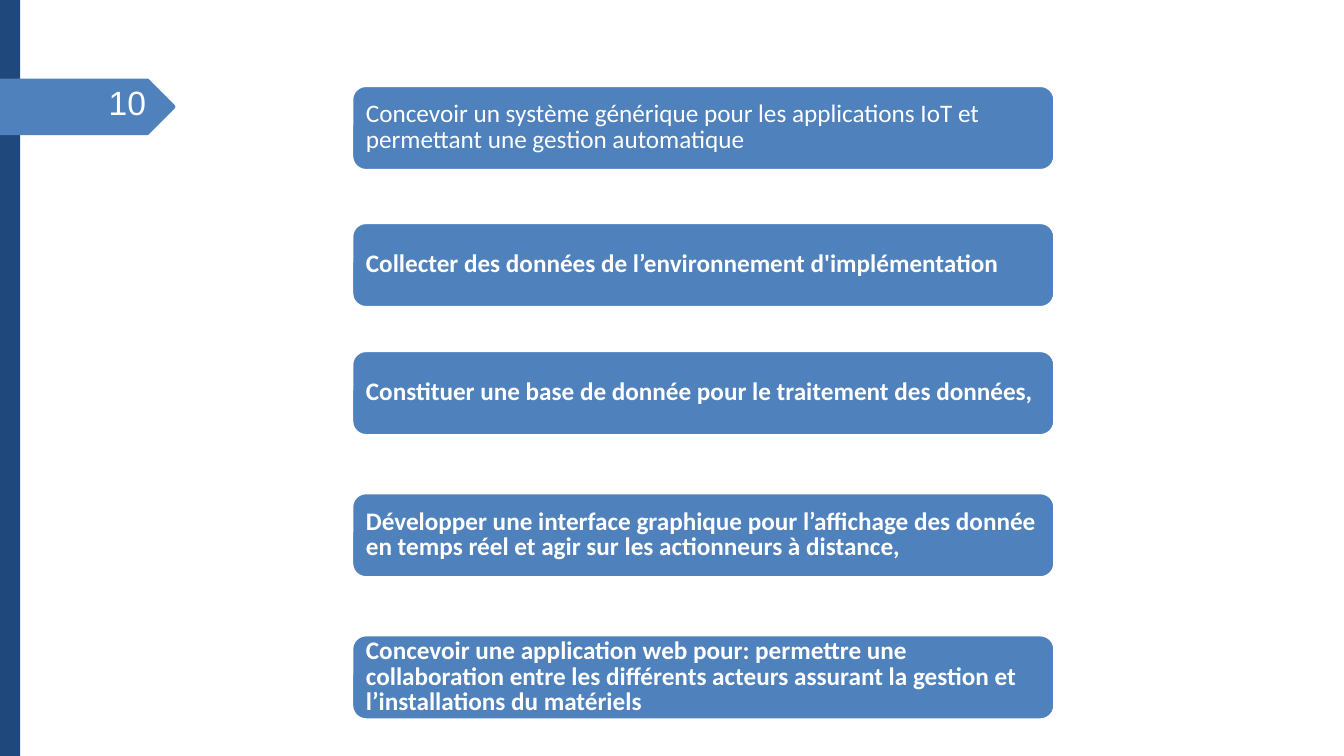
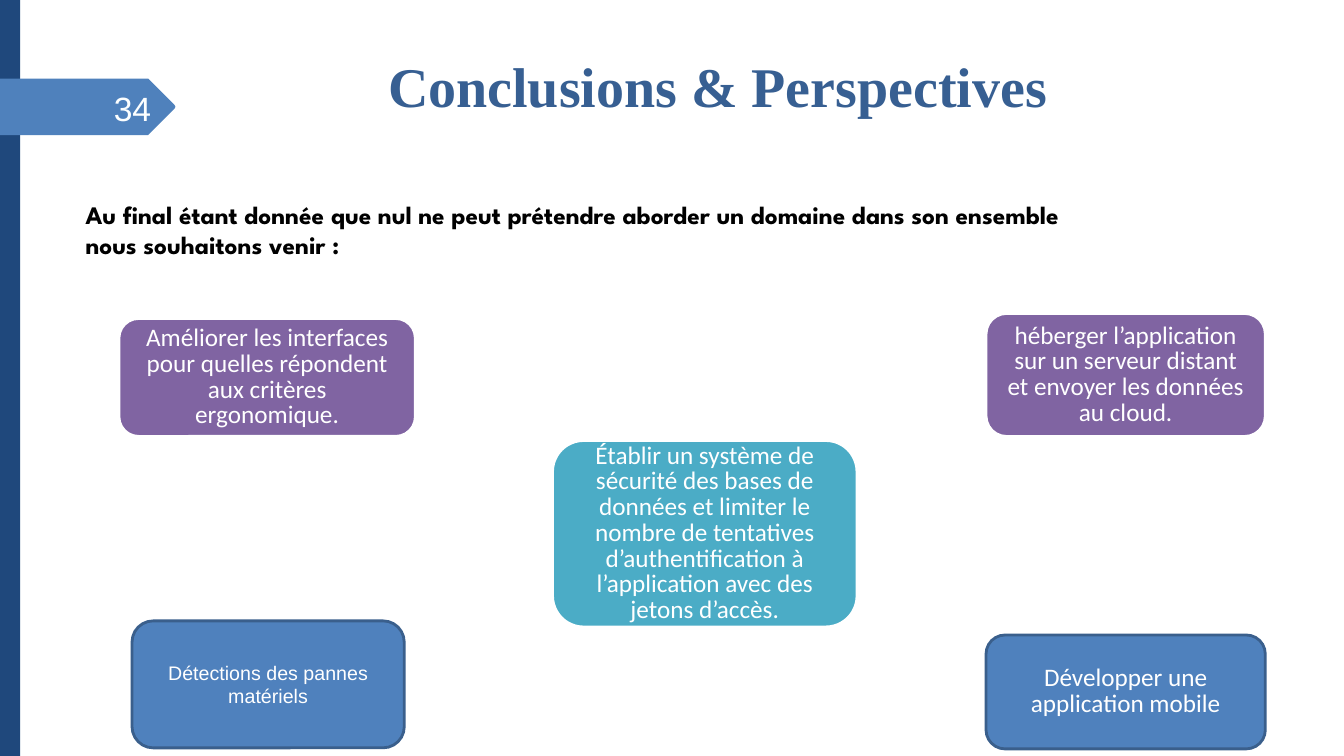
from pptx import Presentation
from pptx.dml.color import RGBColor
from pptx.enum.shapes import MSO_SHAPE
from pptx.enum.text import MSO_ANCHOR, MSO_AUTO_SIZE, PP_ALIGN
from pptx.util import Inches, Pt

WHITE = RGBColor(0xFF, 0xFF, 0xFF)
NUMBER_WHITE = RGBColor(0xFD, 0xFF, 0xFF)
BLACK = RGBColor(0, 0, 0)
BAND_NAVY = RGBColor(0x1F, 0x48, 0x7C)
ARROW_BLUE = RGBColor(0x4F, 0x81, 0xBC)
TITLE_BLUE = RGBColor(0x37, 0x5F, 0x92)
CARD_BLUE = RGBColor(0x4F, 0x81, 0xBD)
BORDER_BLUE = RGBColor(0x3A, 0x5F, 0x8C)
PURPLE = RGBColor(0x80, 0x64, 0xA2)
TEAL = RGBColor(0x4B, 0xAC, 0xC6)

ARROW_OUTLINE = [
    (0, 0.78), (1.47, 0.78), (1.48, 0.79), (1.73, 1.04), (1.74, 1.06),
    (1.73, 1.08), (1.48, 1.33), (1.47, 1.34), (0, 1.34),
]

OBJECTIVE_LEFT, OBJECTIVE_WIDTH, OBJECTIVE_HEIGHT = 3.49, 6.97, 0.84
OBJECTIVES = [
    (0.85, False, "Concevoir un système générique pour les applications IoT et permettant une gestion automatique"),
    (2.21, True, "Collecter des données de l’environnement d'implémentation"),
    (3.48, True, "Constituer une base de donnée pour le traitement des données,"),
    (4.89, True, "Développer une interface graphique pour l’affichage des donnée en temps réel "
                 "et agir sur les actionneurs à distance,"),
    (6.3, True, "Concevoir une application web pour: permettre une collaboration entre les "
                "différents acteurs assurant la gestion et l’installations du matériels"),
]

TITLE = "Conclusions & Perspectives"
INTRODUCTION = [
    "Au final étant donnée que nul ne peut prétendre aborder un domaine dans son ensemble",
    "nous souhaitons venir :",
]
PERSPECTIVES = [
    ((1.18, 3.16, 2.94, 1.17), PURPLE, WHITE, {},
     "Améliorer les interfaces pour quelles répondent aux critères ergonomique."),
    ((5.48, 4.37, 3.02, 1.85), TEAL, WHITE, {},
     "Établir un système de sécurité des bases de données et limiter le nombre de tentatives "
     "d’authentification à l’application avec des jetons d’accès."),
    ((9.78, 3.11, 2.77, 1.22), PURPLE, WHITE, {},
     "héberger l’application sur un serveur distant et envoyer les données au cloud."),
    ((9.78, 6.3, 2.77, 1.13), CARD_BLUE, BORDER_BLUE, {}, "Développer une application mobile"),
    ((1.31, 6.16, 2.7, 1.26), CARD_BLUE, BORDER_BLUE, {"font": "Arial", "size": 14, "spacing": 1.0},
     "Détections des pannes matériels"),
]


def paint(shape, fill, line=None):
    """Give a shape a flat fill and an optional 2 pt outline."""
    shape.shadow.inherit = False
    shape.fill.solid()
    shape.fill.fore_color.rgb = fill
    if line is None:
        shape.line.fill.background()
    else:
        shape.line.color.rgb = line
        shape.line.width = Pt(2)


def write(frame, lines, font, size, color, bold=False, align=PP_ALIGN.LEFT, spacing=1.0):
    """Write one paragraph per line into a text frame."""
    for index, line in enumerate(lines):
        paragraph = frame.add_paragraph() if index else frame.paragraphs[0]
        paragraph.alignment = align
        paragraph.line_spacing = spacing
        run = paragraph.add_run()
        run.text = line
        run.font.name = font
        run.font.size = Pt(size)
        run.font.bold = bold
        run.font.color.rgb = color


def add_text(slide, box, lines, font, size, color, bold=False, wrap=True):
    """Add a text box that grows with its text."""
    frame = slide.shapes.add_textbox(*map(Inches, box)).text_frame
    frame.word_wrap = wrap
    frame.auto_size = MSO_AUTO_SIZE.SHAPE_TO_FIT_TEXT
    write(frame, lines, font, size, color, bold)
    return frame


def add_card(slide, box, fill, line, text, font="Calibri", size=18, bold=False,
             align=PP_ALIGN.CENTER, spacing=0.85):
    """Add a rounded card with vertically centred text."""
    card = slide.shapes.add_shape(MSO_SHAPE.ROUNDED_RECTANGLE, *map(Inches, box))
    paint(card, fill, line)
    frame = card.text_frame
    frame.word_wrap = True
    frame.vertical_anchor = MSO_ANCHOR.MIDDLE
    write(frame, [text], font, size, WHITE, bold, align, spacing)


def add_slide(presentation, number, number_left, number_top):
    """Add a slide with the side band, the arrow and the page number."""
    slide = presentation.slides.add_slide(presentation.slide_layouts[6])
    band = slide.shapes.add_shape(MSO_SHAPE.RECTANGLE, 0, 0, Inches(0.2), presentation.slide_height)
    paint(band, BAND_NAVY)
    start, *corners = [(Inches(x), Inches(y)) for x, y in ARROW_OUTLINE]
    builder = slide.shapes.build_freeform(*start)
    builder.add_line_segments(corners, close=True)
    paint(builder.convert_to_shape(), ARROW_BLUE)
    add_text(slide, (number_left, number_top, 0.59, 0.5), [number], "Arial", 24, NUMBER_WHITE, wrap=False)
    return slide


def build_objectives(presentation):
    """Build the slide that lists the objectives."""
    slide = add_slide(presentation, "10", 0.98, 0.76)
    for top, bold, text in OBJECTIVES:
        box = (OBJECTIVE_LEFT, top, OBJECTIVE_WIDTH, OBJECTIVE_HEIGHT)
        add_card(slide, box, CARD_BLUE, WHITE, text, bold=bold, align=PP_ALIGN.LEFT)


def build_perspectives(presentation):
    """Build the slide of conclusions and perspectives."""
    slide = add_slide(presentation, "34", 1.03, 0.82)
    title = add_text(slide, (3.85, 0.5, 6.7, 0.69), [TITLE], "Times New Roman", 40, TITLE_BLUE, bold=True)
    title.margin_left = title.margin_right = title.margin_bottom = 0
    title.margin_top = Inches(0.01)
    add_text(slide, (0.75, 1.93, 11.93, 0.71), INTRODUCTION, "League Spartan", 18, BLACK, bold=True)
    for box, fill, line, style, text in PERSPECTIVES:
        add_card(slide, box, fill, line, text, **style)


def main():
    """Build and save the presentation."""
    presentation = Presentation()
    presentation.slide_width = Inches(13.33)
    presentation.slide_height = Inches(7.5)
    build_objectives(presentation)
    build_perspectives(presentation)
    presentation.save("out.pptx")


if __name__ == "__main__":
    main()
